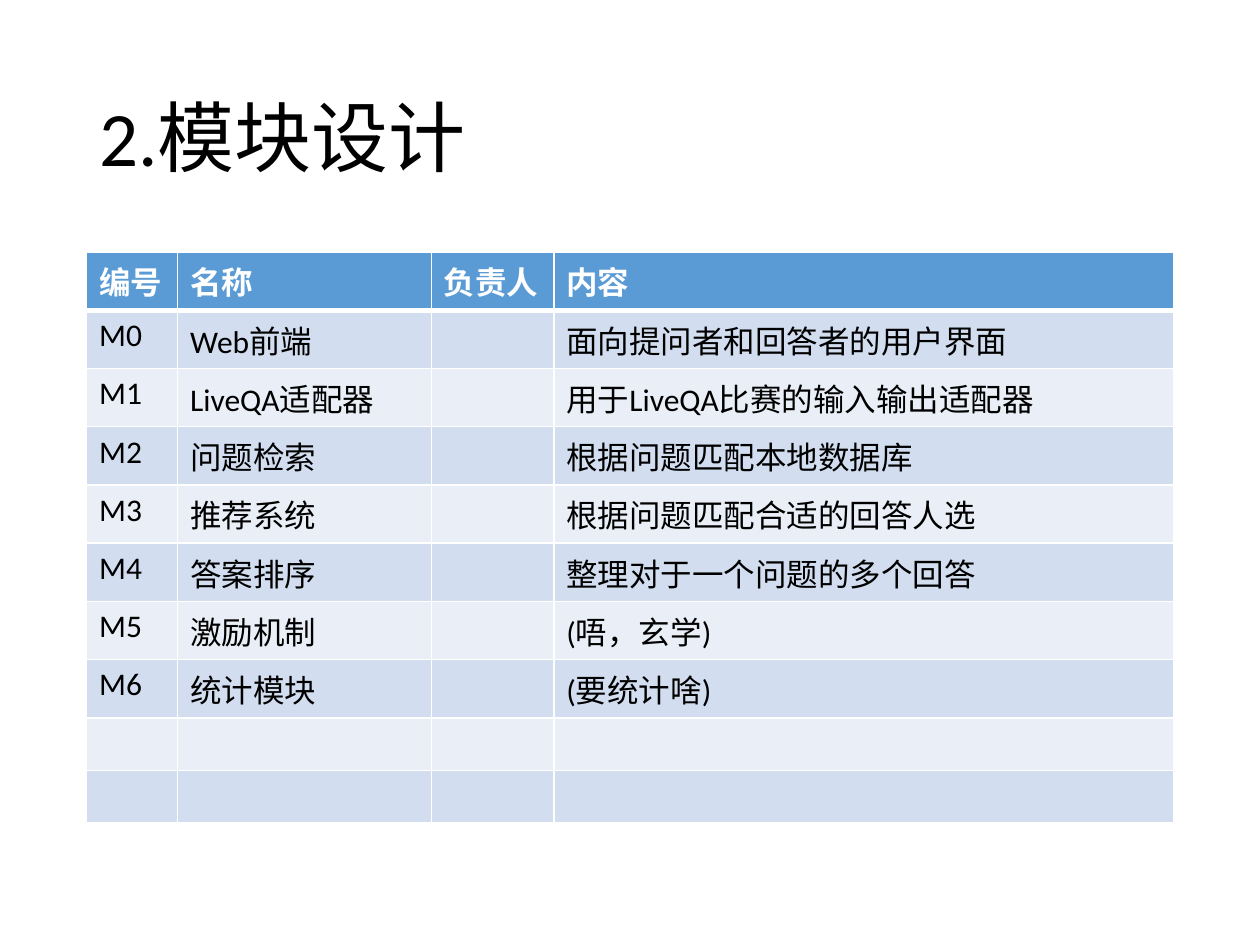
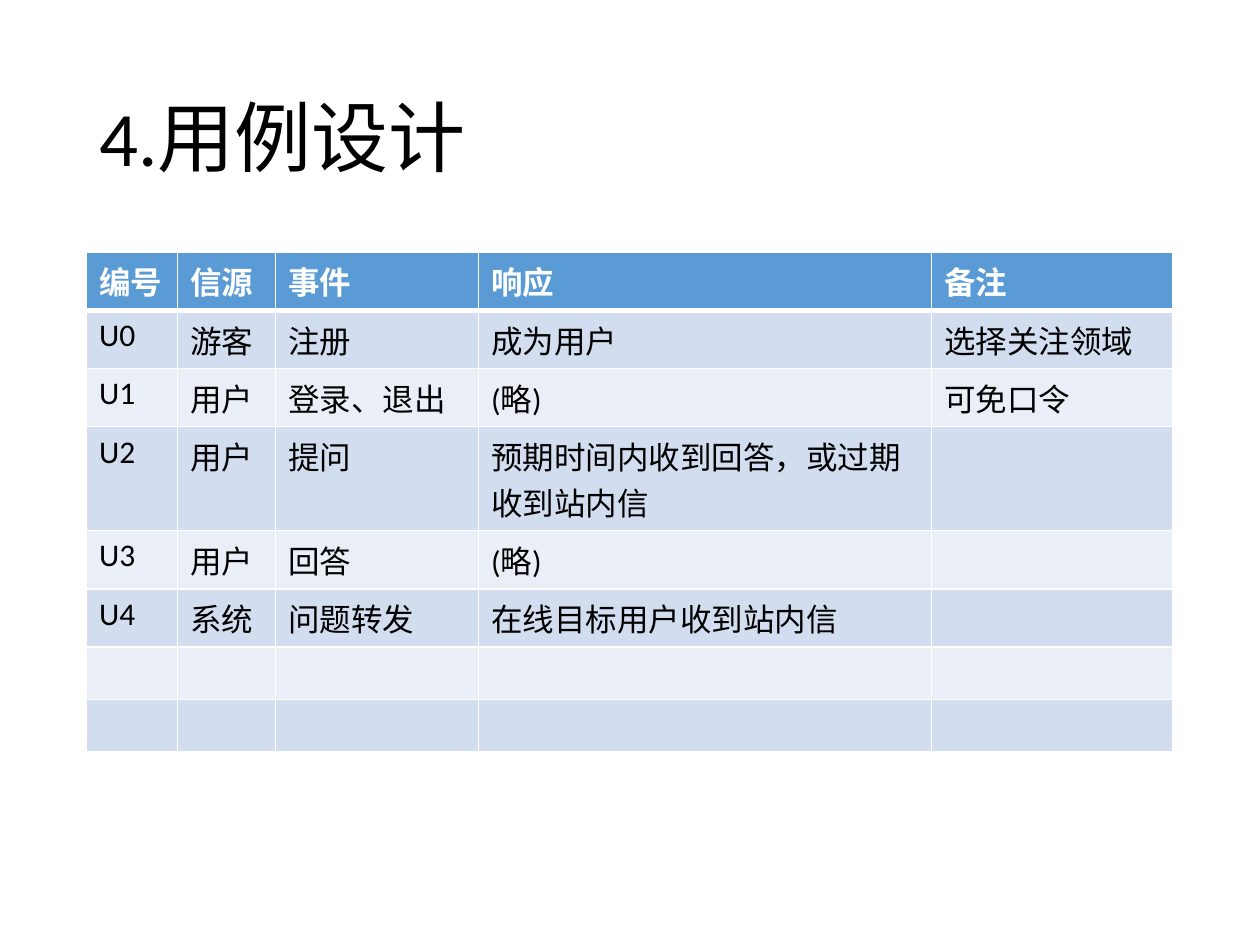
import pptx
import pptx.dml.color
import pptx.enum.text
import pptx.oxml
import pptx.oxml.ns
import pptx.util

Pt = pptx.util.Pt
RGBColor = pptx.dml.color.RGBColor

WHITE = RGBColor(0xFF, 0xFF, 0xFF)
BLACK = RGBColor(0, 0, 0)
HEADER_BLUE = RGBColor(0x5B, 0x9B, 0xD5)
BANDS = (RGBColor(0xD2, 0xDE, 0xEF), RGBColor(0xEA, 0xEF, 0xF7))
FONT = "Calibri"
TITLE_LAYOUT = 5
TITLE_BOX = (49.5, 28.75, 621, 104.5)
TABLE_ORIGIN = (49.5, 144)
ROW_HEIGHT = 30
THIN, THICK = 1, 3

MODULE_WIDTHS = (52, 145, 70, 354)
MODULE_ROWS = (
    ("编号", "名称", "负责人", "内容"),
    ("M0", "Web前端", "", "面向提问者和回答者的用户界面"),
    ("M1", "LiveQA适配器", "", "用于LiveQA比赛的输入输出适配器"),
    ("M2", "问题检索", "", "根据问题匹配本地数据库"),
    ("M3", "推荐系统", "", "根据问题匹配合适的回答人选"),
    ("M4", "答案排序", "", "整理对于一个问题的多个回答"),
    ("M5", "激励机制", "", "(唔，玄学)"),
    ("M6", "统计模块", "", "(要统计啥)"),
    ("",) * 4,
    ("",) * 4,
)

USE_CASE_WIDTHS = (52, 56, 116, 259, 138)
USE_CASE_ROWS = (
    ("编号", "信源", "事件", "响应", "备注"),
    ("U0", "游客", "注册", "成为用户", "选择关注领域"),
    ("U1", "用户", "登录、退出", "(略)", "可免口令"),
    ("U2", "用户", "提问", "预期时间内收到回答，或过期收到站内信", ""),
    ("U3", "用户", "回答", "(略)", ""),
    ("U4", "系统", "问题转发", "在线目标用户收到站内信", ""),
    ("",) * 5,
    ("",) * 5,
)


def format_text(paragraph, size, color, bold=False):
    for run in paragraph.runs:
        run.font.name = FONT
        run.font.size = Pt(size)
        run.font.bold = bold
        run.font.color.rgb = color


def add_title(slide, text, box):
    title = slide.shapes.title
    title.left, title.top, title.width, title.height = map(Pt, box)
    text_frame = title.text_frame
    text_frame.text = text
    text_frame.auto_size = pptx.enum.text.MSO_AUTO_SIZE.NONE
    text_frame.vertical_anchor = pptx.enum.text.MSO_ANCHOR.MIDDLE
    paragraph = text_frame.paragraphs[0]
    paragraph.alignment = pptx.enum.text.PP_ALIGN.LEFT
    paragraph.line_spacing = 0.9
    format_text(paragraph, 44, BLACK)


def set_borders(cell, top, bottom):
    properties = cell._tc.get_or_add_tcPr()
    sides = (("lnL", THIN), ("lnR", THIN), ("lnT", top), ("lnB", bottom))
    for index, (side, width) in enumerate(sides):
        line = pptx.oxml.parse_xml(
            f'<a:{side} {pptx.oxml.ns.nsdecls("a")} w="{Pt(width)}">'
            f'<a:solidFill><a:srgbClr val="{WHITE}"/></a:solidFill></a:{side}>'
        )
        properties.insert(index, line)


def fill_cell(cell, text, row_index):
    is_header = row_index == 0
    cell.fill.solid()
    cell.fill.fore_color.rgb = HEADER_BLUE if is_header else BANDS[(row_index - 1) % 2]
    set_borders(cell, THICK if row_index == 1 else THIN, THICK if is_header else THIN)
    if text:
        cell.text_frame.text = text
        format_text(cell.text_frame.paragraphs[0], 18, WHITE if is_header else BLACK, is_header)


def add_design_table(slide, rows, widths, origin):
    left, top = origin
    frame = slide.shapes.add_table(
        len(rows), len(widths), Pt(left), Pt(top), Pt(sum(widths)), Pt(ROW_HEIGHT * len(rows))
    )
    table = frame.table
    for column, width in zip(table.columns, widths):
        column.width = Pt(width)
    for row_index, texts in enumerate(rows):
        for column_index, text in enumerate(texts):
            fill_cell(table.cell(row_index, column_index), text, row_index)


def add_design_slide(presentation, title, rows, widths):
    slide = presentation.slides.add_slide(presentation.slide_layouts[TITLE_LAYOUT])
    add_title(slide, title, TITLE_BOX)
    add_design_table(slide, rows, widths, TABLE_ORIGIN)


def main():
    presentation = pptx.Presentation()
    presentation.slide_width = Pt(720)
    presentation.slide_height = Pt(540)
    add_design_slide(presentation, "2.模块设计", MODULE_ROWS, MODULE_WIDTHS)
    add_design_slide(presentation, "4.用例设计", USE_CASE_ROWS, USE_CASE_WIDTHS)
    presentation.save("out.pptx")


if __name__ == "__main__":
    main()
